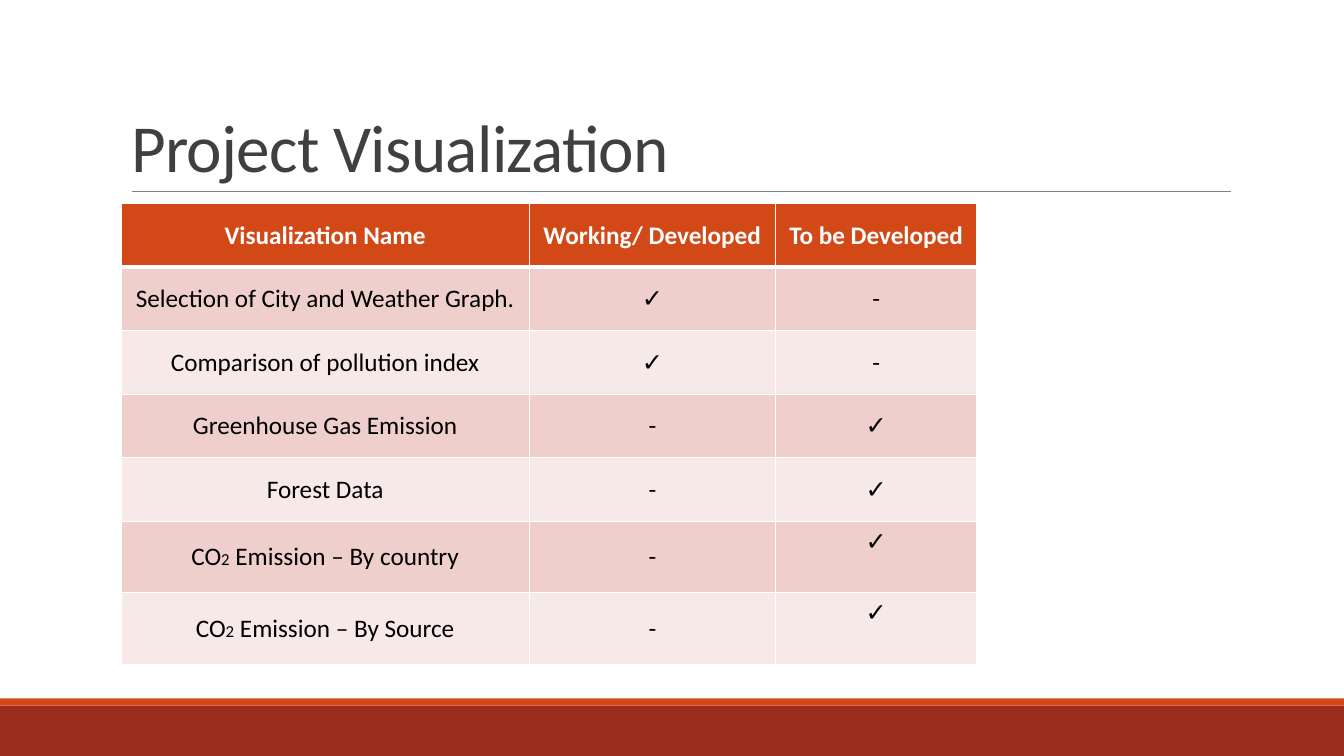
from lxml import etree
from pptx import Presentation
from pptx.dml.color import RGBColor as RGB
from pptx.enum.shapes import MSO_CONNECTOR as LINE, MSO_SHAPE as SHAPE
from pptx.enum.text import MSO_ANCHOR as ANCHOR, PP_ALIGN as ALIGN
from pptx.oxml.ns import qn
from pptx.util import Inches, Pt

COLORS = {
    "band": "9B2D1F", "accent": "D34817", "rule": "808080", "title": "404040",
    "white": "FFFFFF", "black": "000000", "dark": "EFCFCC", "light": "F7E9E8",
}
FONT = "Calibri"
YES, NO = "✓", "-"
HEAD = ("Visualization Name", "Working/ Developed", "To be Developed")
ITEMS = [
    ("Selection of City and Weather Graph.", YES, NO),
    ("Comparison of pollution index", YES, NO),
    ("Greenhouse Gas Emission", NO, YES),
    ("Forest Data", NO, YES),
    ("CO2 Emission – By country", NO, YES),
    ("CO2 Emission – By Source", NO, YES),
]
WIDTHS = (4.05, 2.44, 2)
ROW, TALL = 0.63, 0.71


def color(name):
    return RGB.from_string(COLORS[name])


def style(run, size, name, bold=False):
    font = run.font
    font.name, font.size, font.bold = FONT, Pt(size), bold
    font.color.rgb = color(name)


def add_bar(slide, left, top, width, height, name):
    bar = slide.shapes.add_shape(
        SHAPE.RECTANGLE, Inches(left), Inches(top), Inches(width), Inches(height))
    bar.shadow.inherit = False
    bar.fill.solid()
    bar.fill.fore_color.rgb = color(name)
    bar.line.fill.background()


def add_footer(slide, left, top, width, height):
    strip = 0.07
    add_bar(slide, left, top + strip, width, height - strip, "band")
    add_bar(slide, left, top, width, strip, "accent")


def add_title(slide, left, top, width, height):
    """Place the title with the thin rule along its bottom edge."""
    title = slide.shapes.title
    title.left, title.top = Inches(left), Inches(top)
    title.width, title.height = Inches(width), Inches(height)
    frame = title.text_frame
    frame.text = "Project Visualization"
    frame.word_wrap = True
    frame.vertical_anchor = ANCHOR.BOTTOM
    para = frame.paragraphs[0]
    para.alignment = ALIGN.LEFT
    para.line_spacing = 0.85
    style(para.runs[0], 48, "title")
    para.runs[0].font._element.set("spc", "-50")

    base = Inches(top + height)
    rule = slide.shapes.add_connector(
        LINE.STRAIGHT, Inches(left + 0.11), base, Inches(left + width + 0.01), base)
    rule.line.color.rgb = color("rule")
    rule.line.width = Pt(0.5)
    etree.SubElement(rule._element.spPr, qn("a:effectLst"))


def set_borders(cell, widths):
    """Draw white borders; widths are points by side letter."""
    props = cell._tc.get_or_add_tcPr()
    for side, width in widths.items():
        edge = etree.SubElement(props, qn("a:ln" + side), w=str(Pt(width)))
        fill = etree.SubElement(edge, qn("a:solidFill"))
        etree.SubElement(fill, qn("a:srgbClr"), val=COLORS["white"])


def fill_cell(cell, text, back, fore, bold, widths):
    set_borders(cell, widths)
    cell.fill.solid()
    cell.fill.fore_color.rgb = color(back)
    cell.vertical_anchor = ANCHOR.MIDDLE
    cell.margin_left = cell.margin_right = Inches(0.11)
    cell.margin_top = cell.margin_bottom = Inches(0.05)
    para = cell.text_frame.paragraphs[0]
    para.alignment = ALIGN.CENTER
    for part in filter(None, text.partition("2")):
        run = para.add_run()
        run.text = part
        style(run, 12 if part == "2" else 18, fore, bold)


def add_status(slide, left, top):
    rows = [HEAD, *ITEMS]
    heights = [TALL if row[0].startswith("CO2") else ROW for row in rows]
    table = slide.shapes.add_table(
        len(rows), len(HEAD), Inches(left), Inches(top),
        Inches(sum(WIDTHS)), Inches(sum(heights))).table
    for col, width in zip(table.columns, WIDTHS):
        col.width = Inches(width)
    for r, (row, height) in enumerate(zip(rows, heights)):
        table.rows[r].height = Inches(height)
        head = r == 0
        back = "accent" if head else "dark" if r % 2 else "light"
        fore = "white" if head else "black"
        widths = {"L": 1, "R": 1, "T": 3 if r == 1 else 1, "B": 3 if head else 1}
        for c, text in enumerate(row):
            cell = table.cell(r, c)
            fill_cell(cell, text, back, fore, head, widths)
            if height == TALL and text == YES:
                cell.vertical_anchor = ANCHOR.TOP


def main():
    deck = Presentation()
    deck.slide_width, deck.slide_height = Inches(13.33), Inches(7.5)
    slide = deck.slides.add_slide(deck.slide_layouts[5])
    slide.background.fill.solid()
    slide.background.fill.fore_color.rgb = color("white")
    add_footer(slide, 0, 6.93, 13.33, 0.57)
    add_title(slide, 1.2, 0.31, 11, 1.59)
    add_status(slide, 1.2, 2.02)
    deck.save("out.pptx")


if __name__ == "__main__":
    main()
